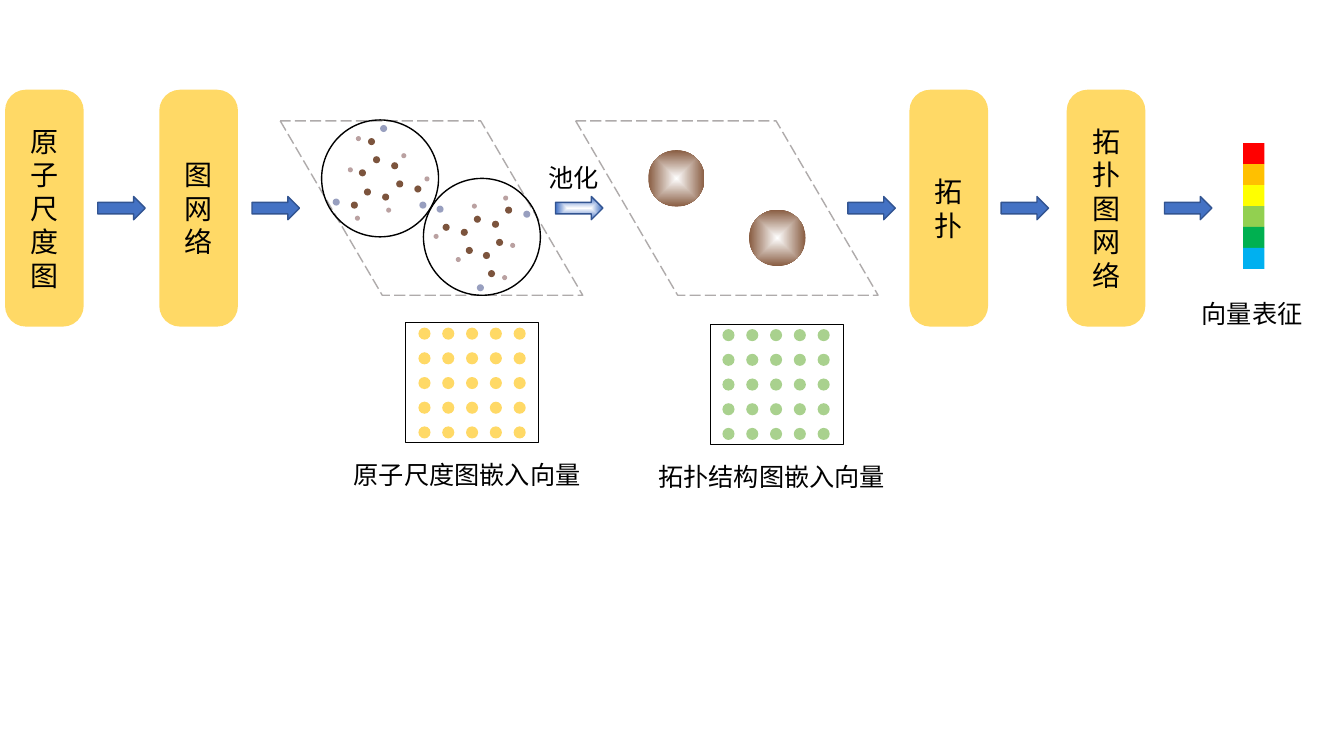
from dataclasses import dataclass
from typing import NamedTuple

from lxml import etree
from pptx import Presentation
from pptx.dml.color import RGBColor
from pptx.enum.dml import MSO_LINE
from pptx.enum.shapes import MSO_SHAPE
from pptx.enum.text import MSO_ANCHOR, MSO_AUTO_SIZE, PP_ALIGN
from pptx.oxml.ns import qn
from pptx.util import Inches, Pt

ROUND, ARROW, OVAL = MSO_SHAPE.ROUNDED_RECTANGLE, MSO_SHAPE.RIGHT_ARROW, MSO_SHAPE.OVAL
RECT, SLANT = MSO_SHAPE.RECTANGLE, MSO_SHAPE.PARALLELOGRAM
DASH = MSO_LINE.LONG_DASH
MIDDLE, CENTER, LEFT = MSO_ANCHOR.MIDDLE, PP_ALIGN.CENTER, PP_ALIGN.LEFT
GROW = MSO_AUTO_SIZE.SHAPE_TO_FIT_TEXT

# The slide is a grid of 1333 columns and 750 rows.
COLS, ROWS = 1333, 750
CELL = Inches(0.01)

HEX = {
    "gold": "FFD966", "green": "A9D18E", "blue": "4472C4", "navy": "325491",
    "grey": "AFABAB", "black": "000000", "white": "FFFFFF",
    "brown": "7C543D", "lilac": "989FBF", "rose": "BAA1A1", "earth": "885C41",
    "red": "FF0000", "amber": "FFC000", "yellow": "FFFF00",
    "lime": "92D050", "leaf": "00B050", "sky": "00B0F0",
}
SANS, SERIF = "Noto Sans CJK SC", "Times New Roman"
STEP_FRAME = {"word_wrap": True, "vertical_anchor": MIDDLE}
LABEL_FRAME = {"word_wrap": True, "auto_size": GROW}


class Box(NamedTuple):
    col: float
    row: float
    wide: float
    high: float


@dataclass
class Look:
    kind: int
    fill: str = ""
    line: str = ""
    width: float = 1
    bend: float | None = None


@dataclass
class Label:
    text: str
    box: Box


@dataclass
class Dots:
    """A framed matrix of dots."""
    hue: str
    frame: Box
    col: float
    row: float


STEP = Look(ROUND, "gold", bend=0.265)
FLOW = Look(ARROW, "blue", "navy")
PLANE = Look(SLANT, line="grey", bend=0.585)
RING = Look(OVAL, line="black")
FRAME = Look(RECT, line="black", width=0.25)

STEPS = [("原子尺度图", 5), ("图网络", 158), ("拓扑", 902), ("拓扑图网络", 1058)]
FLOWS = [97, 250, 841, 993, 1155]
POOL = 551
PLANES = [278, 571]
RINGS = [(319, 119), (420, 177)]
NODES = [(643, 149), (743, 208)]
BARS = ["red", "amber", "yellow", "lime", "leaf", "sky"]
LABELS = [
    Label("池化", Box(534, 156, 73, 40)),
    Label("向量表征", Box(1182, 291, 121, 40)),
    Label("原子尺度图嵌入向量", Box(341, 451, 259, 40)),
    Label("拓扑结构图嵌入向量", Box(643, 453, 259, 40)),
]
GRIDS = [
    Dots("gold", Box(402, 320, 132, 119), 415, 325),
    Dots("green", Box(704, 322, 132, 119), 716.5, 326.5),
]
# Each colour has a dot size and the places of its atoms.
ATOMS = {
    "brown": (7, [
        (348, 200), (361, 187), (356, 168), (370, 155), (388, 161), (393, 179),
        (379, 192), (411, 184), (365, 137), (439, 222), (457, 227), (470, 214),
        (488, 219), (492, 237), (479, 250), (462, 245), (501, 205), (484, 268)]),
    "lilac": (7, [
        (330, 197), (416, 200), (377, 124), (433, 204), (519, 209), (473, 282)]),
    "rose": (5, [
        (352, 214), (383, 206), (345, 166), (353, 135), (398, 152), (421, 175),
        (430, 232), (452, 255), (468, 202), (499, 194), (506, 241), (498, 273)]),
}


def rgb(name: str) -> RGBColor:
    return RGBColor.from_string(HEX[name])


def place(box: Box) -> list[int]:
    return [round(part * CELL) for part in box]


def draw(slide, look: Look, box: Box):
    shape = slide.shapes.add_shape(look.kind, *place(box))
    shape.shadow.inherit = False
    if look.fill:
        shape.fill.solid()
        shape.fill.fore_color.rgb = rgb(look.fill)
    else:
        shape.fill.background()
    if look.line:
        shape.line.color.rgb = rgb(look.line)
        shape.line.width = Pt(look.width)
    else:
        shape.line.fill.background()
    if look.bend is not None:
        shape.adjustments[0] = look.bend
    return shape


def glow(shape, edge: str, stop: int) -> None:
    """Shade the shape from a white centre to its edge colour."""
    shape.fill.gradient()
    grad = shape._element.spPr.find(qn("a:gradFill"))
    grad.clear()
    stops = etree.SubElement(grad, qn("a:gsLst"))
    for pos, name in [(0, "rose"), (0, "white"), (stop, edge), (100, edge)]:
        mark = etree.SubElement(stops, qn("a:gs"), pos=str(pos * 1000))
        etree.SubElement(mark, qn("a:srgbClr"), val=HEX[name])
    route = etree.SubElement(grad, qn("a:path"), {"path": "shape"})
    etree.SubElement(route, qn("a:fillToRect"), dict.fromkeys("ltrb", "50000"))


def write(shape, text: str, face: str, size: int, align: int, form: dict) -> None:
    frame = shape.text_frame
    for key, value in form.items():
        setattr(frame, key, value)
    para = frame.paragraphs[0]
    para.alignment = align
    run = para.add_run()
    run.text = text
    run.font.color.rgb = rgb("black")
    for key, value in {"name": face, "size": Pt(size)}.items():
        setattr(run.font, key, value)
    latin = run.font._element.find(qn("a:latin"))
    east = etree.Element(qn("a:ea"), typeface=SANS)
    latin.addnext(east)


def matrix(slide, dots: Dots) -> None:
    for row in range(5):
        for col in range(5):
            spot = Box(dots.col + 23.6 * col, dots.row + 24.5 * row, 12, 12)
            draw(slide, Look(OVAL, dots.hue), spot)
    draw(slide, FRAME, dots.frame)


def main() -> None:
    deck = Presentation()
    deck.slide_width, deck.slide_height = COLS * CELL, ROWS * CELL
    slide = deck.slides.add_slide(deck.slide_layouts[6])

    for text, col in STEPS:
        step = draw(slide, STEP, Box(col, 89, 78, 235))
        write(step, text, SANS, 20, CENTER, STEP_FRAME)
    for col in FLOWS:
        draw(slide, FLOW, Box(col, 195, 47, 23))
    for col in PLANES:
        plane = draw(slide, PLANE, Box(col, 120, 300, 173))
        plane.line.dash_style = DASH
        plane._element.spPr.xfrm.set("flipV", "1")
    for hue, (size, spots) in ATOMS.items():
        for col, row in spots:
            draw(slide, Look(OVAL, hue), Box(col, row, size, size))
    glow(draw(slide, FLOW, Box(POOL, 195, 47, 23)), "blue", 98)
    for col, row in NODES:
        glow(draw(slide, Look(OVAL), Box(col, row, 56, 56)), "earth", 100)
    for col, row in RINGS:
        draw(slide, RING, Box(col, row, 116, 116))
    for rank, hue in enumerate(BARS):
        draw(slide, Look(RECT, hue), Box(1233, 142 + 20.8 * rank, 21, 20.8))
    for dots in GRIDS:
        matrix(slide, dots)
    for label in LABELS:
        note = slide.shapes.add_textbox(*place(label.box))
        write(note, label.text, SERIF, 18, LEFT, LABEL_FRAME)

    deck.save("out.pptx")


if __name__ == "__main__":
    main()
